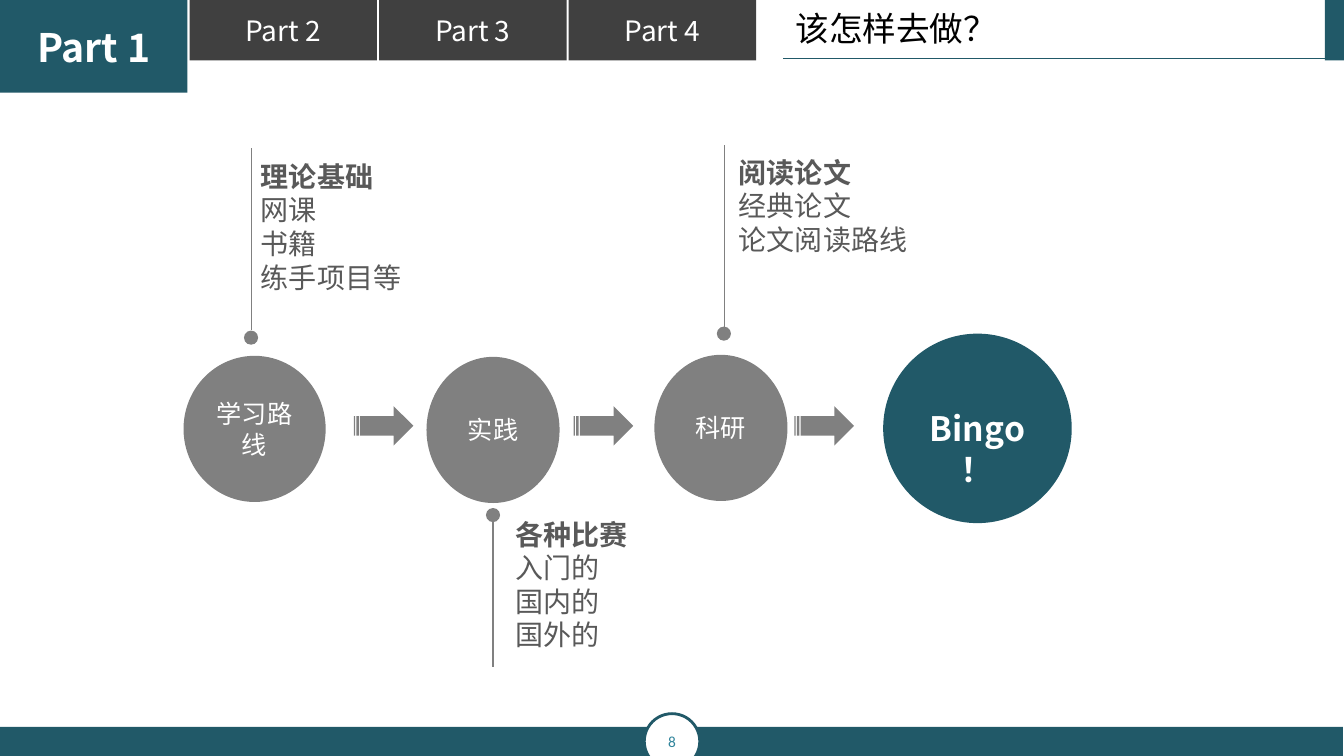
from lxml import etree
from pptx import Presentation
from pptx.dml.color import RGBColor
from pptx.enum.shapes import MSO_CONNECTOR, MSO_SHAPE as Shape
from pptx.enum.text import MSO_ANCHOR as Anchor, MSO_AUTO_SIZE as AutoSize, PP_ALIGN as Align
from pptx.oxml.ns import qn
from pptx.util import Inches, Pt

COLORS = {
    "teal": "215968",
    "dark": "404040",
    "gray": "808080",
    "body": "595959",
    "number": "31859C",
    "white": "FFFFFF",
    "black": "000000",
}


class RoadmapSlide:
    font = "Noto Sans CJK SC"

    def __init__(self, presentation):
        self.slide = presentation.slides.add_slide(presentation.slide_layouts[5])

    def color(self, name):
        return RGBColor.from_string(COLORS[name])

    def add_text(self, paragraph, text, size, color, bold=False, font=None, align=Align.LEFT):
        paragraph.alignment = align
        run = paragraph.add_run()
        run.text = text
        run.font.size = Pt(size)
        run.font.bold = bold
        run.font.name = font or self.font
        run.font.color.rgb = self.color(color)
        east_asian = etree.SubElement(run.font._element, qn("a:ea"))
        east_asian.set("typeface", font or self.font)

    def title(self, text, left, top, width, height):
        title = self.slide.shapes.title
        title.left, title.top = Inches(left), Inches(top)
        title.width, title.height = Inches(width), Inches(height)
        frame = title.text_frame
        frame.auto_size = AutoSize.NONE
        frame.word_wrap = True
        frame.vertical_anchor = Anchor.TOP
        self.add_text(frame.paragraphs[0], text, 24, "black")

    def block(self, kind, left, top, width, height, fill, outline=None):
        block = self.slide.shapes.add_shape(
            kind, Inches(left), Inches(top), Inches(width), Inches(height))
        block.shadow.inherit = False
        block.fill.solid()
        block.fill.fore_color.rgb = self.color(fill)
        if outline:
            block.line.color.rgb = self.color(outline)
            block.line.width = Pt(2)
        else:
            block.line.fill.background()
        return block

    def label(self, block, text, size, color="white", bold=False, font=None):
        frame = block.text_frame
        frame.word_wrap = True
        frame.vertical_anchor = Anchor.MIDDLE
        self.add_text(frame.paragraphs[0], text, size, color, bold, font, Align.CENTER)

    def rule(self, start_x, start_y, end_x, end_y, color):
        rule = self.slide.shapes.add_connector(
            MSO_CONNECTOR.STRAIGHT,
            Inches(start_x), Inches(start_y), Inches(end_x), Inches(end_y))
        rule.line.color.rgb = self.color(color)
        rule.line.width = Pt(0.75)
        etree.SubElement(rule._element.spPr, qn("a:effectLst"))

    def note(self, lines, left, top, width, height, wrap=False):
        note = self.slide.shapes.add_textbox(
            Inches(left), Inches(top), Inches(width), Inches(height))
        frame = note.text_frame
        frame.word_wrap = wrap
        frame.auto_size = AutoSize.SHAPE_TO_FIT_TEXT
        for index, line in enumerate(lines):
            paragraph = frame.add_paragraph() if index else frame.paragraphs[0]
            self.add_text(paragraph, line, 20, "body", bold=index == 0)

    def pin(self, dot_left, dot_top, stem_x, stem_start, stem_end):
        self.block(Shape.OVAL, dot_left, dot_top, 0.14, 0.14, "gray")
        self.rule(stem_x, stem_start, stem_x, stem_end, "gray")


def main():
    presentation = Presentation()
    presentation.slide_width = Inches(13.33)
    presentation.slide_height = Inches(7.5)
    roadmap = RoadmapSlide(presentation)

    current_part = roadmap.block(Shape.RECTANGLE, 0, 0, 1.86, 0.92, "teal")
    roadmap.label(current_part, "Part 1", 28, bold=True)
    for index in range(1, 4):
        part = roadmap.block(Shape.RECTANGLE, 1.88 * index, 0, 1.86, 0.6, "dark")
        roadmap.label(part, f"Part {index + 1}", 20)
    roadmap.block(Shape.RECTANGLE, 13.14, 0, 0.2, 0.6, "teal")
    roadmap.rule(13.24, 0.58, 7.77, 0.58, "teal")
    roadmap.title("该怎样去做？", 7.79, 0.03, 2.16, 0.5)

    roadmap.block(Shape.RECTANGLE, 0, 7.21, 13.32, 0.29, "teal")
    page_badge = roadmap.block(Shape.OVAL, 6.39, 7.08, 0.55, 0.55, "white", "teal")
    roadmap.label(page_badge, "8", 11, "number", font="Calibri")

    stages = [
        ("学习路线", 1.82, 3.53, 1.41),
        ("实践", 4.23, 3.54, 1.32),
        ("科研", 6.49, 3.52, 1.32),
    ]
    for text, left, top, width in stages:
        stage = roadmap.block(Shape.OVAL, left, top, width, 1.45, "gray")
        roadmap.label(stage, text, 18)
    for left in (3.51, 5.69, 7.88):
        roadmap.block(Shape.STRIPED_RIGHT_ARROW, left, 4.03, 0.59, 0.39, "gray")
    goal = roadmap.block(Shape.OVAL, 8.76, 3.31, 1.87, 1.88, "teal")
    roadmap.label(goal, " Bingo！", 24, bold=True)

    roadmap.pin(2.42, 3.28, 2.49, 3.27, 1.47)
    roadmap.note(["理论基础", "网课", "书籍", "练手项目等"], 2.49, 1.53, 1.6, 1.45)
    roadmap.pin(4.82, 5.04, 4.89, 5.18, 6.62)
    roadmap.note(["各种比赛", "入门的", "国内的", "国外的"], 5.01, 5.08, 1.32, 1.45)
    roadmap.pin(7.11, 3.24, 7.19, 3.25, 1.44)
    roadmap.note(["阅读论文", "经典论文", "论文阅读路线"], 7.23, 1.49, 2.61, 1.11, wrap=True)

    presentation.save("out.pptx")


if __name__ == "__main__":
    main()
